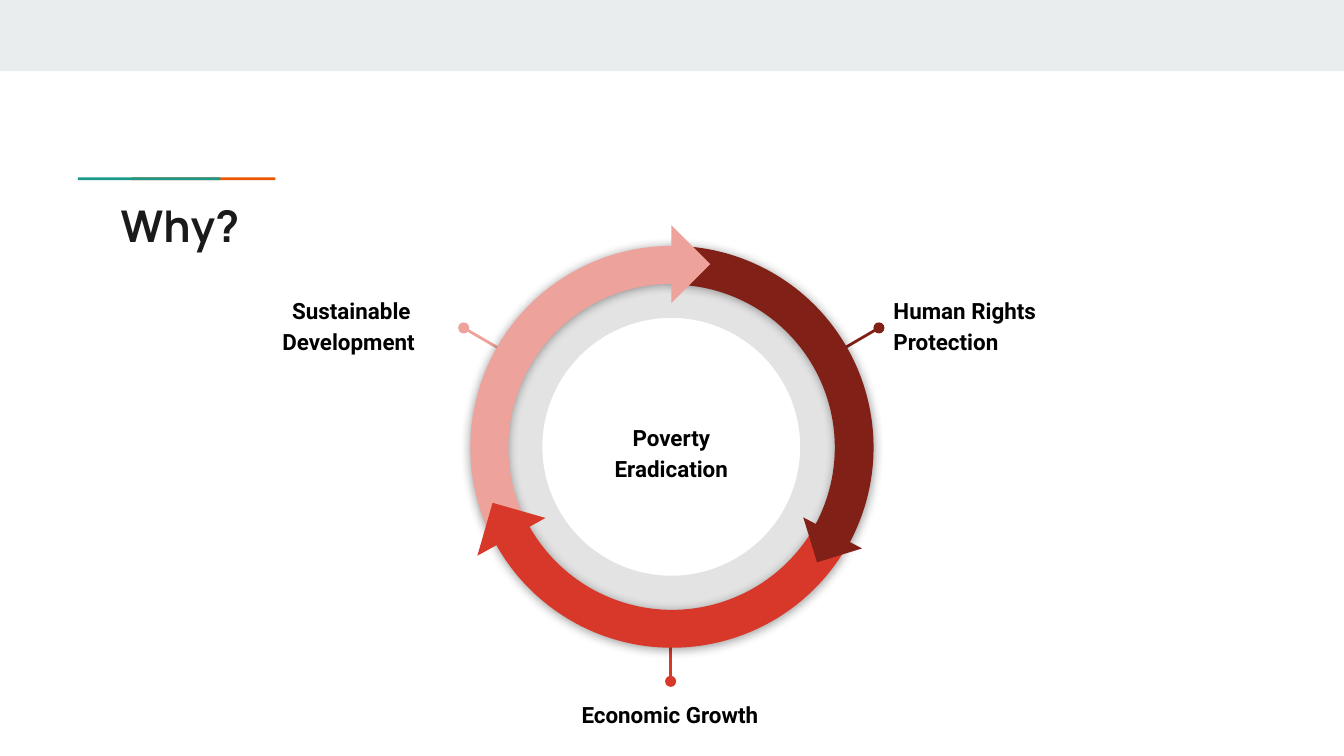
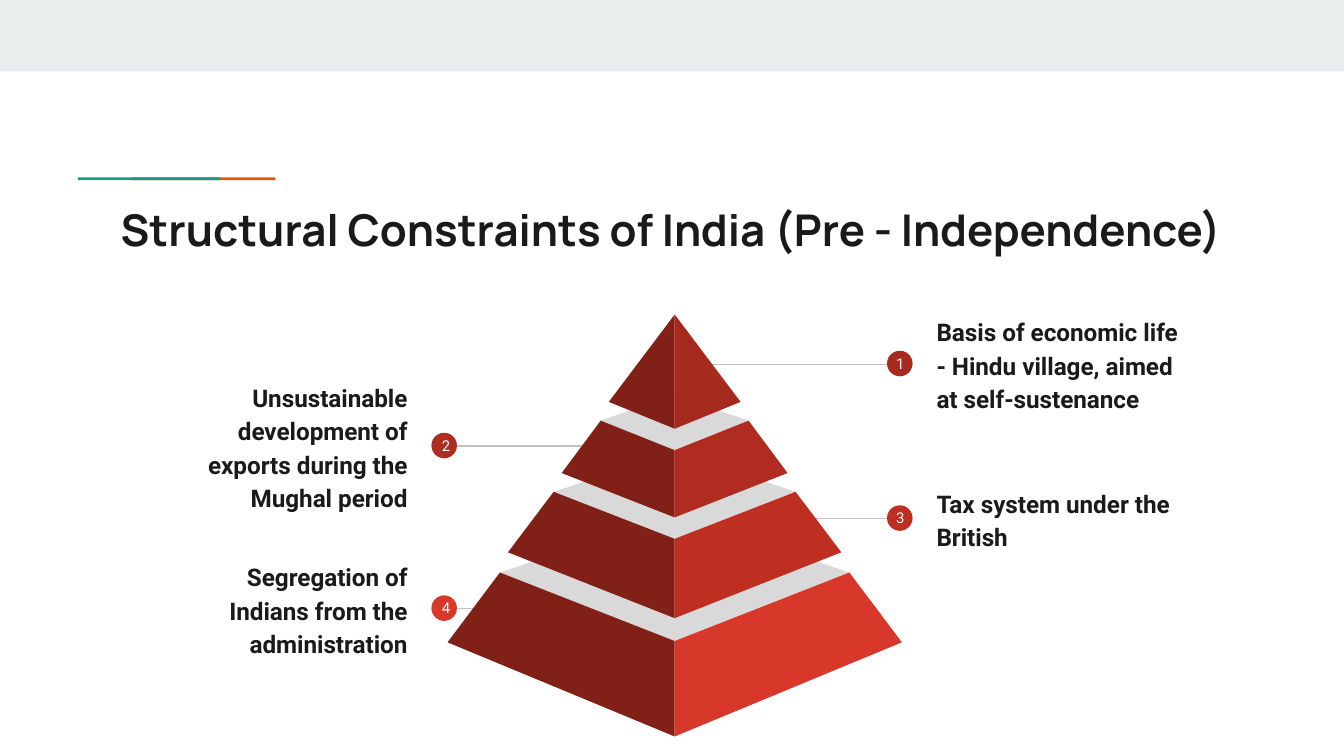
from lxml import etree
from pptx import Presentation
from pptx.dml.color import RGBColor
from pptx.enum import shapes, text
from pptx.oxml.ns import qn
from pptx.util import Pt

PX = 9144
INK, DARK, PINK, RED = "1A1A1A", "802017", "EDA29B", "D83829"
KIND = shapes.MSO_SHAPE
LEFT, CENTER, RIGHT = text.PP_ALIGN.LEFT, text.PP_ALIGN.CENTER, text.PP_ALIGN.RIGHT
TOP, MIDDLE = text.MSO_ANCHOR.TOP, text.MSO_ANCHOR.MIDDLE


def paint(s, color, width=0):
    fill = s.line.fill if width else s.fill
    fill.solid()
    fill.fore_color.rgb = RGBColor.from_string(color)
    if width:
        s.line.width = Pt(width)
        etree.SubElement(s._element.spPr, qn("a:effectLst"))
    else:
        s.line.fill.background()
        s.shadow.inherit = False
    return s


def write(sp, box, string, size=12, font="Roboto", color="000000", bold=True,
          align=LEFT, anchor=TOP, spacing=1.15, after=0):
    tf = sp.add_textbox(*(v * PX for v in box)).text_frame
    tf.word_wrap = True
    tf.vertical_anchor = anchor
    tf.margin_left = tf.margin_right = tf.margin_top = tf.margin_bottom = 10 * PX
    p = tf.paragraphs[0]
    p.alignment, p.line_spacing, p.space_after = align, spacing, Pt(after)
    r = p.add_run()
    r.text = string
    r.font.size, r.font.name, r.font.bold = Pt(size), font, bold
    r.font.color.rgb = RGBColor.from_string(color)


prs = Presentation()
prs.slide_width = 1000 * PX
prs.slide_height = prs.slide_width * 9 // 16

titles = [("Why?", 138), ("Structural Constraints of India (Pre - Independence)", 141)]
frame = [(0, 0, 1000, 53, "E9EDEE"), (98, 132, 107, 2, "EB5600"), (58, 132, 106, 2, "1A9988")]
pages = []
for title, y in titles:
    sp = prs.slides.add_slide(prs.slide_layouts[6]).shapes
    for *box, color in frame:
        paint(sp.add_shape(KIND.RECTANGLE, *(v * PX for v in box)), color)
    write(sp, (80, y, 841, 59), title, size=23.4, font="Manrope", color=INK, spacing=1)
    pages.append(sp)
cycle, pyramid = pages

donut = paint(cycle.add_shape(KIND.DONUT, 358 * PX, 191 * PX, 283 * PX, 283 * PX), "000000")
donut.adjustments[0] = 0.161
clr = donut._element.spPr.find(".//" + qn("a:srgbClr"))
etree.SubElement(clr, qn("a:alpha"), val="11000")

reasons = [
    ("Sustainable Development ", 178, 208, CENTER, (345, 244, 393, 272), PINK),
    ("Human Rights Protection", 655, 208, LEFT, (654, 244, 606, 272), DARK),
    ("Economic Growth", 415, 509, CENTER, (499, 507, 499, 456), RED),
]
for string, x, y, align, ends, color in reasons:
    s = cycle.add_connector(shapes.MSO_CONNECTOR.STRAIGHT, *(v * PX for v in ends))
    paint(s, color, 1.5)
    etree.SubElement(s._element.spPr.find(qn("a:ln")), qn("a:headEnd"), type="oval")
    write(cycle, (x, y, 167, 75), string, align=align)
write(cycle, (419, 291, 161, 90), "Poverty Eradication", align=CENTER, anchor=MIDDLE)

arc_dark = (KIND.BLOCK_ARC, 350, 183, 300, 30, False, (144.144, 0.007, 0.096), DARK)
arc_pink = (KIND.BLOCK_ARC, 350, 183, 300, 330, True, (143.486, 214.729, 0.094), PINK)
arc_red = (KIND.BLOCK_ARC, 350, 182, 300, 210, True, (143.162, 215.027, 0.094), RED)
tip_pink = (KIND.RIGHT_TRIANGLE, 479, 176, 41, 225, False, (), PINK)
tip_dark = (KIND.RIGHT_TRIANGLE, 602, 379, 35, 342.9, False, (), DARK)
tip_red = (KIND.RIGHT_TRIANGLE, 360, 379, 41, 106, False, (), RED)
for kind, x, y, size, angle, flip, adj, color in (
        arc_dark, arc_pink, tip_pink, arc_red, tip_dark, tip_red):
    s = paint(cycle.add_shape(kind, x * PX, y * PX, size * PX, size * PX), color)
    s.rotation = angle
    if flip:
        s._element.spPr.find(qn("a:xfrm")).set("flipH", "1")
    for i, value in enumerate(adj):
        s.adjustments[i] = value
    if kind == KIND.BLOCK_ARC:
        shadow = etree.SubElement(
            s._element.spPr.find(qn("a:effectLst")), qn("a:outerShdw"),
            blurRad=str(Pt(5.6)), dist=str(Pt(0.8)), dir="5400000", algn="ctr", rotWithShape="0")
        clr = etree.SubElement(shadow, qn("a:srgbClr"), val="000000")
        etree.SubElement(clr, qn("a:alpha"), val="40000")

constraints = [
    ("Basis of economic life - Hindu village, aimed at self-sustenance", RIGHT, 271, 528, "A72A1E"),
    ("Unsustainable development of exports during the Mughal period", LEFT, 332, 433, "B02C20"),
    ("Tax system under the British", RIGHT, 386, 604, "BE2F22"),
    ("Segregation of Indians from the administration", LEFT, 453, 433, RED),
]
sides = {LEFT: (113, RIGHT, 324, 321, 319), RIGHT: (687, LEFT, 676, 660, 657)}
for number, (string, side, y, start, color) in enumerate(constraints, 1):
    x, align, end, dot, digit = sides[side]
    write(pyramid, (x, y - 51, 200, 101), string, size=13, color=INK,
          align=align, anchor=MIDDLE, after=12)
    s = pyramid.add_connector(
        shapes.MSO_CONNECTOR.STRAIGHT, start * PX, y * PX, end * PX, y * PX)
    paint(s, "C2C2C2", 0.75)
    paint(pyramid.add_shape(KIND.OVAL, dot * PX, (y - 10) * PX, 19 * PX, 19 * PX), color)
    write(pyramid, (digit, y - 14, 24, 30), str(number), size=8, color="FFFFFF",
          bold=False, align=CENTER, spacing=1, after=16)

mid = 502
tiers = [
    (130, 382, 426, 477, 169, 478, 548, RED),
    (90, 336, 366, 401, 124, 411, 460, "BE2F22"),
    (55, 294, 313, 335, 84, 352, 385, "B02C20"),
    (0, 234, 234, 234, 49, 299, 319, "A72A1E"),
]
for upper, back, rim, front, lower, edge, foot, color in tiers:
    faces = [
        ([(mid + d * upper, rim), (mid, front), (mid, foot), (mid + d * lower, edge)], c)
        for d, c in ((-1, DARK), (1, color))]
    if upper:
        cap = [(mid - upper, rim), (mid, front), (mid + upper, rim), (mid, back)]
        faces.insert(0, (cap, "D9D9D9"))
    for points, c in faces:
        outline = pyramid.build_freeform(*points[0], scale=PX)
        outline.add_line_segments(points[1:])
        paint(outline.convert_to_shape(), c)

prs.save("out.pptx")
